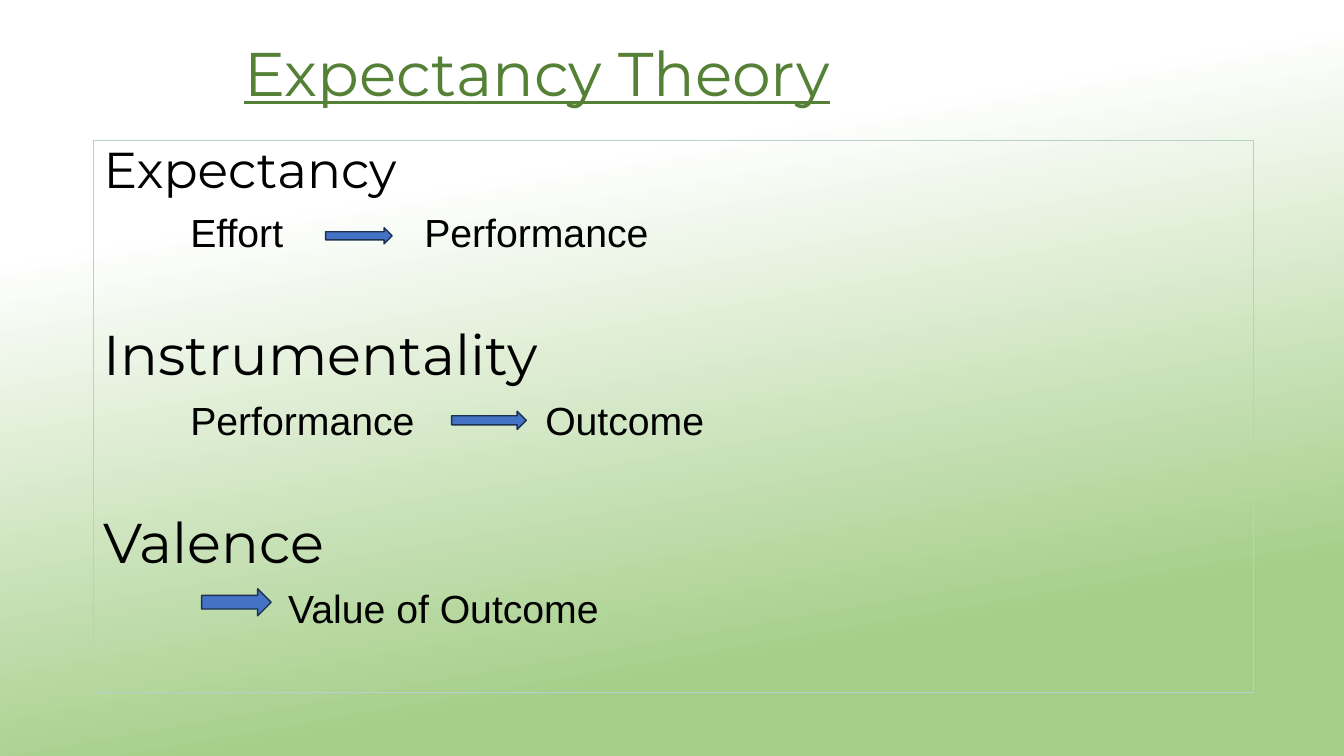
from dataclasses import dataclass

from lxml.etree import SubElement
from pptx import Presentation
from pptx.dml.color import RGBColor
from pptx.enum.shapes import MSO_SHAPE
from pptx.enum.text import MSO_ANCHOR, MSO_AUTO_SIZE, PP_ALIGN
from pptx.oxml.ns import qn
from pptx.util import Inches, Pt


@dataclass(frozen=True)
class Theme:
    """Colours, fonts and type sizes of the slide."""
    title: str = "548135"
    text: str = "000000"
    frame: str = "B8D0CC"
    arrow: str = "4472C4"
    arrow_line: str = "1C3052"
    backdrop: tuple = ((0, "A5CE89"), (19, "A5CE89"), (74, "FFFFFF"), (100, "FFFFFF"))
    heading_font: str = "Montserrat"
    body_font: str = "Arial"
    title_size: int = 44
    body_size: int = 28


THEME = Theme()
TERMS = [
    ("Expectancy", 36, "\tEffort\tPerformance", (0.86, 3.18)),
    ("Instrumentality", 40, "\tPerformance\tOutcome", (0.86, 4.38)),
    ("Valence", 40, "\tValue of Outcome", (1.83,)),
]
ARROWS = [
    (3.23, 2.26, 0.66, 0.16),
    (4.48, 4.08, 0.74, 0.18),
    (2, 5.84, 0.69, 0.27),
]


def set_backdrop(s):
    """Fill the slide background with the slanted gradient."""
    fill = s.background.fill
    fill.gradient()
    fill.gradient_angle = 100
    stops = s.element.find(".//" + qn("a:gsLst"))
    for stop in list(stops):
        stops.remove(stop)
    for percent, color in THEME.backdrop:
        stop = SubElement(stops, qn("a:gs"), pos=str(percent * 1000))
        SubElement(stop, qn("a:srgbClr"), val=color)


def add_run(p, text, font, size, color):
    """Add one formatted run and return it."""
    r = p.add_run()
    r.text = text
    r.font.name = font
    r.font.size = Pt(size)
    r.font.color.rgb = RGBColor.from_string(color)
    return r


def format_paragraph(p, before=0):
    """Set alignment and spacing of a paragraph."""
    p.alignment = PP_ALIGN.LEFT
    p.line_spacing = 0.9
    p.space_before = Pt(before)


def set_tabs(p, positions):
    """Give a paragraph left tab stops at the positions in inches."""
    tabs = SubElement(p._p.get_or_add_pPr(), qn("a:tabLst"))
    for position in positions:
        SubElement(tabs, qn("a:tab"), pos=str(Inches(position)), algn="l")


def set_title(s, text):
    """Place and format the title placeholder."""
    sp = s.shapes.title
    sp.left, sp.top, sp.width, sp.height = map(Inches, (0.92, 0.13, 11.5, 1.26))
    tf = sp.text_frame
    tf.auto_size = MSO_AUTO_SIZE.NONE
    tf.vertical_anchor = MSO_ANCHOR.MIDDLE
    tf.margin_left = Inches(1.5)
    p = tf.paragraphs[0]
    format_paragraph(p)
    r = add_run(p, text, THEME.heading_font, THEME.title_size, THEME.title)
    r.font.underline = True


def add_terms(s):
    """Add the framed text with each term and its relation."""
    sp = s.shapes.add_textbox(*map(Inches, (0.93, 1.39, 11.5, 5.48)))
    sp.line.color.rgb = RGBColor.from_string(THEME.frame)
    sp.line.width = Pt(0.75)
    tf = sp.text_frame
    tf.word_wrap = True
    for i, (term, size, relation, tabs) in enumerate(TERMS):
        p = tf.add_paragraph() if i else tf.paragraphs[0]
        format_paragraph(p, 51 if i else 0)
        add_run(p, term, THEME.heading_font, size, THEME.text)
        p = tf.add_paragraph()
        format_paragraph(p, 10)
        set_tabs(p, tabs)
        add_run(p, relation, THEME.body_font, THEME.body_size, THEME.text)


def add_arrow(s, box):
    """Add a right-pointing block arrow."""
    sp = s.shapes.add_shape(MSO_SHAPE.RIGHT_ARROW, *map(Inches, box))
    sp.shadow.inherit = False
    sp.fill.solid()
    sp.fill.fore_color.rgb = RGBColor.from_string(THEME.arrow)
    sp.line.color.rgb = RGBColor.from_string(THEME.arrow_line)
    sp.line.width = Pt(1)


def main():
    """Build and save the slide."""
    prs = Presentation()
    prs.slide_width, prs.slide_height = Inches(13.33), Inches(7.5)
    s = prs.slides.add_slide(prs.slide_layouts[5])
    set_backdrop(s)
    set_title(s, "Expectancy Theory")
    add_terms(s)
    for box in ARROWS:
        add_arrow(s, box)
    prs.save("out.pptx")


if __name__ == "__main__":
    main()
